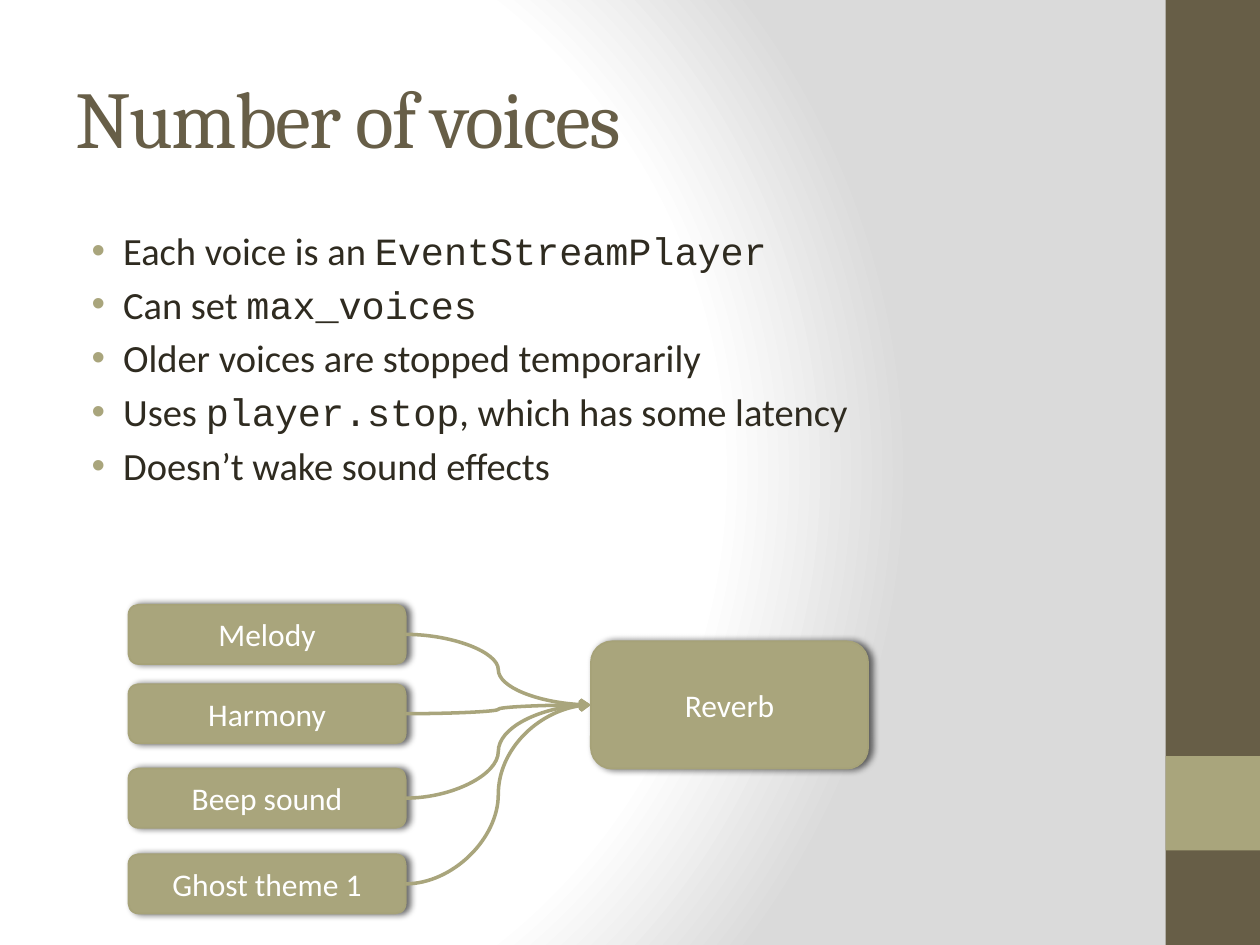
import pptx
import pptx.util
import pptx.oxml
import pptx.oxml.ns
import pptx.dml.color
import pptx.enum.shapes
import pptx.enum.text
from lxml import etree

WIDTH, HEIGHT = 10, 7.5
COLORS = {"brown": "675E47", "olive": "A9A57C", "edge": "A6A278", "ink": "2F2B20",
          "white": "FFFFFF", "grey": "DADADA", "black": "000000"}
NS = 'xmlns:a="http://schemas.openxmlformats.org/drawingml/2006/main"'
ALIGN = pptx.enum.text.PP_ALIGN
ANCHOR = pptx.enum.text.MSO_ANCHOR
SHAPES = pptx.enum.shapes.MSO_SHAPE

POINTS = [
    [("Each voice is an ", "Calibri"), ("EventStreamPlayer", "Courier New")],
    [("Can set ", "Calibri"), ("max_voices", "Courier New")],
    [("Older voices are stopped temporarily", "Calibri")],
    [("Uses ", "Calibri"), ("player.stop", "Courier New"),
     (", which has some latency", "Calibri")],
    [("Doesn\u2019t wake sound effects", "Calibri")],
]
VOICE_ROWS = {"Melody": 4.8, "Harmony": 5.43, "Beep sound": 6.1, "Ghost theme 1": 6.78}
VOICE_COLUMN, EFFECT_COLUMN, NODE_WIDTH = 1.02, 4.69, 2.2


def rgb(name):
    """Look a colour up by name."""
    return pptx.dml.color.RGBColor.from_string(COLORS[name])


def box(left, top, width, height):
    """Turn inches into a position and a size."""
    return [pptx.util.Inches(value) for value in (left, top, width, height)]


def apply(target, formats):
    """Set every attribute of a dict of format values."""
    for key, value in formats.items():
        setattr(target, key, value)


def add_xml(parent, xml):
    """Append a DrawingML fragment to an element."""
    parent.append(pptx.oxml.parse_xml(xml.replace("/>", f" {NS}/>", 1)
                  if xml.endswith("/>") and xml.count("<") == 1
                  else xml.replace(">", f" {NS}>", 1)))


def style_run(run, font, size, color):
    """Give a run its font, size and colour."""
    apply(run.font, {"name": font, "size": pptx.util.Pt(size)})
    run.font.color.rgb = rgb(color)


def paint_background(slide):
    """Fill the slide with a radial gradient from white to grey."""
    slide.background.fill.solid()
    properties = slide.element.find(".//" + pptx.oxml.ns.qn("p:bgPr"))
    stops = "".join(f'<a:gs pos="{share * 1000}"><a:srgbClr val="{COLORS[name]}"/></a:gs>'
                    for share, name in ((0, "white"), (75, "white"), (100, "grey")))
    gradient = pptx.oxml.parse_xml(
        f'<a:gradFill {NS} rotWithShape="1"><a:gsLst>{stops}</a:gsLst><a:path path="circle">'
        '<a:fillToRect l="20000" t="50000" r="100000" b="50000"/></a:path></a:gradFill>')
    properties.replace(properties[0], gradient)


def add_band(slide, top, height, color):
    """Draw a part of the band at the right edge."""
    band = slide.shapes.add_shape(SHAPES.RECTANGLE, *box(9.25, top, 0.75, height))
    band.shadow.inherit = False
    band.fill.solid()
    band.fill.fore_color.rgb = rgb(color)
    band.line.fill.background()


def write_title(slide, text):
    """Place and format the title placeholder."""
    title = slide.shapes.title
    apply(title, dict(zip(("left", "top", "width", "height"), box(0.5, 0.3, 8.33, 1.25))))
    apply(title.text_frame, {"text": text, "word_wrap": True, "vertical_anchor": ANCHOR.MIDDLE})
    heading = title.text_frame.paragraphs[0]
    heading.alignment = ALIGN.LEFT
    style_run(heading.runs[0], "Cambria", 46, "brown")
    heading.runs[0].font._element.set("spc", "-100")


def write_points(slide, points):
    """Write the bulleted list."""
    frame = slide.shapes.add_textbox(*box(0.5, 1.75, 8.33, 5.25)).text_frame
    frame.word_wrap = True
    for index, pieces in enumerate(points):
        point = frame.add_paragraph() if index else frame.paragraphs[0]
        point.space_before = pptx.util.Pt(4.4)
        properties = point._p.get_or_add_pPr()
        properties.set("marL", str(pptx.util.Inches(0.38)))
        properties.set("indent", str(pptx.util.Inches(-0.25)))
        add_xml(properties, f'<a:buClr><a:srgbClr val="{COLORS["olive"]}"/></a:buClr>')
        add_xml(properties, '<a:buFont typeface="Arial"/>')
        add_xml(properties, '<a:buChar char="\u2022"/>')
        for text, font in pieces:
            run = point.add_run()
            run.text = text
            style_run(run, font, 22, "ink")


def add_node(slide, label, left, top, height):
    """Draw a rounded, shadowed box with a centred label."""
    node = slide.shapes.add_shape(SHAPES.ROUNDED_RECTANGLE, *box(left, top, NODE_WIDTH, height))
    node.fill.solid()
    node.fill.fore_color.rgb = rgb("olive")
    node.line.color.rgb = rgb("edge")
    node.line.width = pptx.util.Pt(1)
    add_xml(node._element.spPr,
            f'<a:effectLst><a:outerShdw blurRad="{pptx.util.Pt(4)}" dist="{pptx.util.Pt(2)}" '
            f'dir="0" rotWithShape="0"><a:srgbClr val="{COLORS["black"]}">'
            '<a:alpha val="60000"/></a:srgbClr></a:outerShdw></a:effectLst>')
    apply(node.text_frame, {"text": label, "word_wrap": True, "vertical_anchor": ANCHOR.MIDDLE})
    caption = node.text_frame.paragraphs[0]
    caption.alignment = ALIGN.CENTER
    style_run(caption.runs[0], "Calibri", 18, "white")
    return node


def link(slide, source, target):
    """Draw a curved arrow from the right of one node to the left of another."""
    arrow = slide.shapes.add_connector(pptx.enum.shapes.MSO_CONNECTOR.CURVE, 0, 0, 0, 0)
    arrow.begin_connect(source, 3)
    arrow.end_connect(target, 1)
    arrow.line.color.rgb = rgb("olive")
    arrow.line.width = pptx.util.Pt(2)
    add_xml(arrow.line._get_or_add_ln(), '<a:tailEnd type="arrow"/>')
    etree.SubElement(arrow._element.spPr, pptx.oxml.ns.qn("a:effectLst"))


def main():
    """Build the slide and save it."""
    deck = pptx.Presentation()
    apply(deck, {"slide_width": pptx.util.Inches(WIDTH), "slide_height": pptx.util.Inches(HEIGHT)})
    slide = deck.slides.add_slide(deck.slide_layouts[5])
    paint_background(slide)
    add_band(slide, 0, HEIGHT, "brown")
    add_band(slide, 0.8 * HEIGHT, 0.1 * HEIGHT, "olive")
    write_title(slide, "Number of voices")
    write_points(slide, POINTS)
    voices = [add_node(slide, label, VOICE_COLUMN, top, 0.47)
              for label, top in VOICE_ROWS.items()]
    reverb = add_node(slide, "Reverb", EFFECT_COLUMN, 5.09, 1.01)
    for voice in voices:
        link(slide, voice, reverb)
    deck.save("out.pptx")


main()
